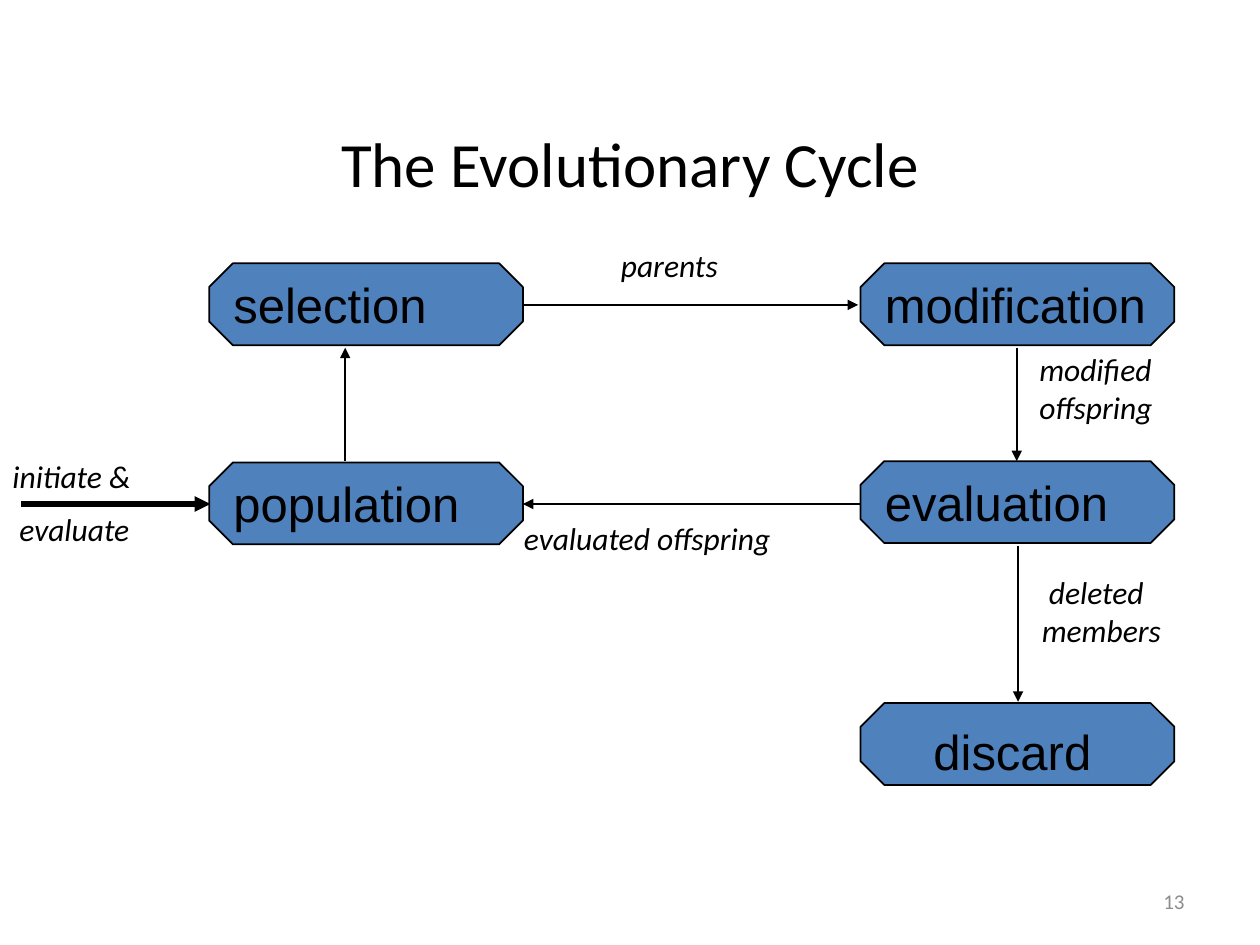
from pptx import Presentation
from pptx import util as u
from pptx.dml.color import RGBColor
from pptx.enum import shapes, text
from pptx.oxml.ns import qn
from lxml import etree

BLACK = RGBColor(0x00, 0x00, 0x00)
BLUE = RGBColor(0x4F, 0x81, 0xBD)
GRAY = RGBColor(0x8C, 0x8C, 0x8C)


def write(frame, lines, size=18, font="Calibri", color=BLACK, italic=False,
          align=text.PP_ALIGN.LEFT, anchor=text.MSO_ANCHOR.TOP, wrap=False):
    frame.word_wrap = wrap
    frame.vertical_anchor = anchor
    for index, line in enumerate(lines):
        para = frame.paragraphs[0] if index == 0 else frame.add_paragraph()
        para.alignment = align
        span = para.add_run()
        span.text = line
        span.font.size = u.Pt(size)
        span.font.name = font
        span.font.italic = italic
        span.font.color.rgb = color


deck = Presentation()
deck.slide_width, deck.slide_height = u.Inches(10), u.Inches(7.5)
page = deck.slides.add_slide(deck.slide_layouts[5])

# Title
title = page.shapes.title
title.left, title.top = u.Inches(0.75), u.Inches(0.94)
title.width, title.height = u.Inches(8.5), u.Inches(0.7)
write(title.text_frame, ["The Evolutionary Cycle"], size=36, wrap=True,
      align=text.PP_ALIGN.CENTER, anchor=text.MSO_ANCHOR.MIDDLE)

# Stages of the cycle
LEFT_COLUMN, RIGHT_COLUMN = 1.66, 6.83
stages = [
    ("selection", LEFT_COLUMN, 2.09),
    ("population", LEFT_COLUMN, 3.67),
    ("evaluation", RIGHT_COLUMN, 3.66),
    ("modification", RIGHT_COLUMN, 2.09),
    (None, RIGHT_COLUMN, 5.58),  # discard, labelled by its own text box
]
for name, left, top in stages:
    stage = page.shapes.add_shape(
        shapes.MSO_SHAPE.OCTAGON, u.Inches(left), u.Inches(top),
        u.Inches(2.49), u.Inches(0.65))
    stage.adjustments[0] = 0.29
    stage.shadow.inherit = False
    stage.fill.solid()
    stage.fill.fore_color.rgb = BLUE
    stage.line.color.rgb = BLACK
    stage.line.width = u.Pt(1)
    if name:
        write(stage.text_frame, [name], size=28, font="Arial",
              anchor=text.MSO_ANCHOR.MIDDLE)

# Arrows: start, end, line width
arrows = [
    ((4.16, 2.42), (6.81, 2.42), 1),  # selection to modification
    ((8.07, 2.76), (8.07, 3.66), 1),  # modification to evaluation
    ((6.83, 4), (4.15, 4), 1),        # evaluation to population
    ((2.74, 3.66), (2.74, 2.76), 1),  # population to selection
    ((8.08, 4.33), (8.08, 5.57), 1),  # evaluation to discard
    ((0.17, 4), (1.67, 4), 3),        # entry into population
]
for start, end, width in arrows:
    arrow = page.shapes.add_connector(
        shapes.MSO_CONNECTOR.STRAIGHT, *map(u.Inches, start + end))
    arrow.line.color.rgb = BLACK
    arrow.line.width = u.Pt(width)
    etree.SubElement(arrow.line._get_or_add_ln(), qn("a:tailEnd"), type="triangle")
    etree.SubElement(arrow._element.spPr, qn("a:effectLst"))

# Labels: lines, left, top, width, height, format
label = dict(italic=True)
labels = [
    (["discard"], 7.31, 5.68, 1.45, 0.56, dict(size=28, font="Arial")),
    (["parents"], 4.83, 1.9, 1.2, 0.5, label),
    (["modified", "offspring"], 8.15, 2.73, 1.4, 0.9, label),
    (["evaluated offspring"], 4.06, 4.07, 2.78, 0.5, label),
    ([" deleted", "members"], 8.17, 4.5, 1.4, 0.9, label),
    (["initiate &"], 0, 3.58, 1.58, 0.5, dict(italic=True, wrap=True)),
    ([" evaluate"], 0, 4, 1.67, 0.5, dict(italic=True, wrap=True)),
    # Slide number
    (["13"], 7.17, 6.95, 2.33, 0.4,
     dict(size=12, color=GRAY, align=text.PP_ALIGN.RIGHT,
          anchor=text.MSO_ANCHOR.MIDDLE, wrap=True)),
]
for lines, left, top, width, height, style in labels:
    box = page.shapes.add_textbox(*map(u.Inches, (left, top, width, height)))
    write(box.text_frame, lines, **style)

deck.save("out.pptx")
